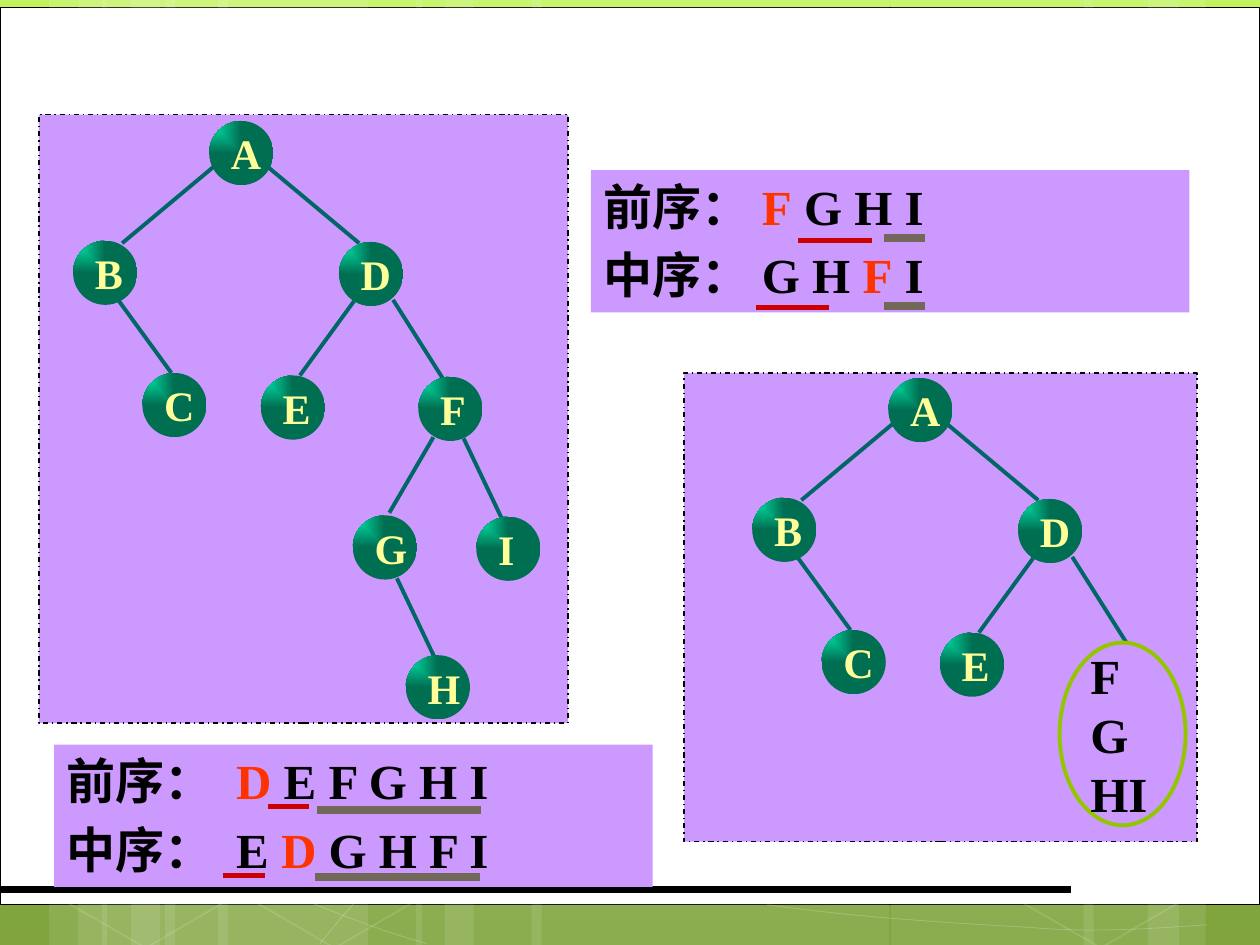
from lxml import etree
from pptx import Presentation
from pptx.dml.color import RGBColor
from pptx.enum.dml import MSO_LINE_DASH_STYLE as DASH
from pptx.enum.shapes import MSO_CONNECTOR, MSO_SHAPE
from pptx.enum.text import MSO_ANCHOR, PP_ALIGN
from pptx.oxml.ns import qn
from pptx.util import Inches, Pt

WHITE = RGBColor(0xFF, 0xFF, 0xFF)
BLACK = RGBColor(0, 0, 0)
LILAC = RGBColor(0xCC, 0x99, 0xFF)
TEAL = RGBColor(0x00, 0x66, 0x66)
CREAM = RGBColor(0xFF, 0xFF, 0x99)
ORANGE = RGBColor(0xFF, 0x33, 0x00)
RED = RGBColor(0xCC, 0x00, 0x00)
TAUPE = RGBColor(0x71, 0x68, 0x5A)
LIME = RGBColor(0x94, 0xC6, 0x00)
BACKDROP = [(0, RGBColor(0xC2, 0xF3, 0x5F)), (62, RGBColor(0x92, 0xBE, 0x3F)),
            (100, RGBColor(0x80, 0xA3, 0x3D))]
BALL = [(0, RGBColor(0x00, 0xEE, 0xB0)), (100, RGBColor(0x00, 0x6E, 0x51))]
LATIN, CHINESE = "Times New Roman", "Noto Sans CJK SC"
NODE = 0.51


def child(parent, tag, **attributes):
    element = etree.SubElement(parent, qn(tag))
    for name, value in attributes.items():
        element.set(name, str(value))
    return element


def set_gradient(gradient, stops, from_corner=False):
    for old in list(gradient):
        gradient.remove(old)
    stop_list = child(gradient, "a:gsLst")
    for position, color in stops:
        stop = child(stop_list, "a:gs", pos=position * 1000)
        child(stop, "a:srgbClr", val=color)
    if from_corner:
        child(child(gradient, "a:path", path="rect"), "a:fillToRect", r=100000, b=100000)
    else:
        child(gradient, "a:lin", ang=5400000, scaled=0)


def set_alpha(properties, percent):
    for color in properties.iter(qn("a:srgbClr")):
        child(color, "a:alpha", val=percent * 1000)


def bezier(start, control1, control2, end, steps=16):
    for step in range(steps + 1):
        t = step / steps
        weights = (1 - t) ** 3, 3 * t * (1 - t) ** 2, 3 * t * t * (1 - t), t ** 3
        points = start, control1, control2, end
        yield tuple(sum(w * p[axis] for w, p in zip(weights, points)) for axis in (0, 1))


class SlideBuilder:
    latin, chinese = LATIN, CHINESE

    def __init__(self, slide):
        self.slide = slide

    def shape(self, kind, left, top, width, height, fill=None, line=None, weight=0.75, dash=None):
        shape = self.slide.shapes.add_shape(
            kind, Inches(left), Inches(top), Inches(width), Inches(height))
        self.style(shape, fill, line, weight)
        if dash:
            shape.line.dash_style = dash
        return shape

    def style(self, shape, fill, line, weight):
        shape.shadow.inherit = False
        if fill is None:
            shape.fill.background()
        else:
            shape.fill.solid()
            shape.fill.fore_color.rgb = fill
        if line is None:
            shape.line.fill.background()
        else:
            shape.line.color.rgb = line
            shape.line.width = Pt(weight)

    def line(self, x1, y1, x2, y2, color, weight):
        connector = self.slide.shapes.add_connector(
            MSO_CONNECTOR.STRAIGHT, Inches(x1), Inches(y1), Inches(x2), Inches(y2))
        connector.line.color.rgb = color
        connector.line.width = Pt(weight)
        child(connector._element.spPr, "a:effectLst")

    def curve(self, *points):
        start, *rest = [(Inches(x), Inches(y)) for x, y in bezier(*points)]
        builder = self.slide.shapes.build_freeform(*start)
        builder.add_line_segments(rest, close=False)
        shape = builder.convert_to_shape()
        self.style(shape, None, WHITE, 0.5)
        set_alpha(shape._element.spPr, 20)

    def text(self, shape, paragraphs, size, wrap=True, anchor=MSO_ANCHOR.MIDDLE, gap=0):
        """Each paragraph is a list of (text, colour) runs."""
        frame = shape.text_frame
        frame.word_wrap = wrap
        frame.vertical_anchor = anchor
        for index, runs in enumerate(paragraphs):
            paragraph = frame.add_paragraph() if index else frame.paragraphs[0]
            paragraph.alignment = PP_ALIGN.LEFT
            if index and gap:
                paragraph.space_before = Pt(gap)
            for words, color in runs:
                run = paragraph.add_run()
                run.text = words
                run.font.size, run.font.bold = Pt(size), True
                run.font.name, run.font.color.rgb = self.latin, color
                child(run.font._element, "a:ea", typeface=self.chinese)

    def node(self, label, left, top):
        shape = self.shape(MSO_SHAPE.OVAL, left, top, NODE, NODE)
        shape.fill.gradient()
        set_gradient(shape._element.spPr.find(qn("a:gradFill")), BALL, from_corner=True)
        self.text(shape, [[(label, CREAM)]], 24, wrap=False)

    def tree(self, nodes, edges, dx=0, dy=0):
        for x1, y1, x2, y2 in edges:
            self.line(x1 + dx, y1 + dy, x2 + dx, y2 + dy, TEAL, 2.25)
        for label, left, top in nodes:
            self.node(label, left + dx, top + dy)

    def panel(self, left, top, width, height):
        self.shape(MSO_SHAPE.RECTANGLE, left, top, width, height, LILAC, BLACK, dash=DASH.DASH_DOT)

    def orders(self, left, top, paragraphs):
        box = self.shape(MSO_SHAPE.RECTANGLE, left, top, 4.75, 1.13, LILAC)
        self.text(box, paragraphs, 28, anchor=MSO_ANCHOR.TOP, gap=5.6)

    def underline(self, left, right, y, color):
        self.line(left, y, right, y, color, 3 if color == RED else 4.5)


def draw_backdrop(builder):
    background = builder.slide.background
    background.fill.gradient()
    set_gradient(background._cSld.find(".//" + qn("a:gradFill")), BACKDROP)
    builder.shape(MSO_SHAPE.RECTANGLE, 0, 0.06, 10, 7.12, WHITE, BLACK, 0.5)
    # Translucent vertical bands
    for left, width in [(1.31, 1.61), (0.39, 0.46), (0.62, 0.77), (1.73, 1.62), (0.81, 0.46),
                        (1.04, 0.77), (7.07, 1.61), (9.11, 0.46), (8.6, 0.76), (4.22, 2.84),
                        (3.3, 0.46), (3.53, 0.77)]:
        band = builder.shape(MSO_SHAPE.RECTANGLE, left, 0, width, 7.5, WHITE)
        set_alpha(band._element.spPr, 10)
    # Fine curves and hexagons along the foot
    builder.curve((0.36, 6.17), (1.47, 6.72), (2.58, 7.27), (3.39, 7.49))
    builder.curve((6.09, 7.18), (6.85, 7.29), (7.67, 7.33), (8.16, 7.36))
    builder.curve((8.16, 7.36), (8.64, 7.4), (9.01, 7.38), (9.58, 7.34))
    builder.curve((2.54, 7.49), (2.7, 7.29), (2.86, 7.09), (3.09, 6.91))
    for left in (0.41, 1.91, 7.99):
        hexagon = builder.shape(MSO_SHAPE.HEXAGON, left, 5.92, 1.61, 1.52, None, WHITE, 1)
        hexagon.adjustments[0] = 0.285
        hexagon.rotation = 30
        set_alpha(hexagon._element.spPr, 12)
    builder.line(0, 7.06, 8.5, 7.06, BLACK, 4.5)


def main():
    presentation = Presentation()
    presentation.slide_width, presentation.slide_height = Inches(10), Inches(7.5)
    builder = SlideBuilder(presentation.slides.add_slide(presentation.slide_layouts[6]))
    draw_backdrop(builder)

    # Traversal orders of the subtrees
    builder.orders(4.69, 1.35, [
        [("前序：", BLACK), ("F", ORANGE), (" G H I", BLACK)],
        [("中序：", BLACK), ("G H ", BLACK), ("F", ORANGE), (" I", BLACK)]])
    builder.orders(0.43, 5.91, [
        [("前序： ", BLACK), ("D", ORANGE), (" E F G H I", BLACK)],
        [("中序： E ", BLACK), ("D", ORANGE), (" G H F I", BLACK)]])
    for left, right, y, color in [
            (6.33, 6.92, 1.91, RED), (7.02, 7.34, 1.89, TAUPE),
            (6, 6.58, 2.44, RED), (7.02, 7.34, 2.43, TAUPE),
            (2.13, 2.45, 6.4, RED), (2.52, 3.82, 6.43, TAUPE),
            (1.77, 2.1, 6.95, RED), (2.5, 3.81, 6.96, TAUPE)]:
        builder.underline(left, right, y, color)

    # Upper part shared by both trees
    top_nodes = [("A", 1.66, 0.96), ("B", 0.58, 1.91), ("C", 1.13, 2.96),
                 ("D", 2.69, 1.92), ("E", 2.07, 2.98)]
    top_edges = [(1.7, 1.32, 0.97, 1.93), (2.12, 1.32, 2.85, 1.93), (0.93, 2.37, 1.36, 2.96),
                 (2.81, 2.39, 2.38, 2.98), (3.12, 2.38, 3.55, 3.06)]

    # Tree with the right subtree still open
    builder.panel(5.43, 2.96, 4.07, 3.72)
    builder.tree(top_nodes, top_edges, 5.39, 2.04)
    rest = builder.shape(MSO_SHAPE.OVAL, 8.41, 5.1, 1, 1.45, None, LIME, 2.25)
    builder.text(rest, [[("FG", BLACK)], [("HI", BLACK)]], 28)

    # Complete tree
    builder.panel(0.31, 0.91, 4.2, 4.83)
    builder.tree(
        top_nodes + [("F", 3.32, 2.99), ("G", 2.8, 4.09), ("I", 3.78, 4.1), ("H", 3.22, 5.2)],
        top_edges + [(3.44, 3.47, 3.09, 4.07), (3.68, 3.48, 3.98, 4.11), (3.15, 4.59, 3.45, 5.22)])

    presentation.save("out.pptx")


if __name__ == "__main__":
    main()
